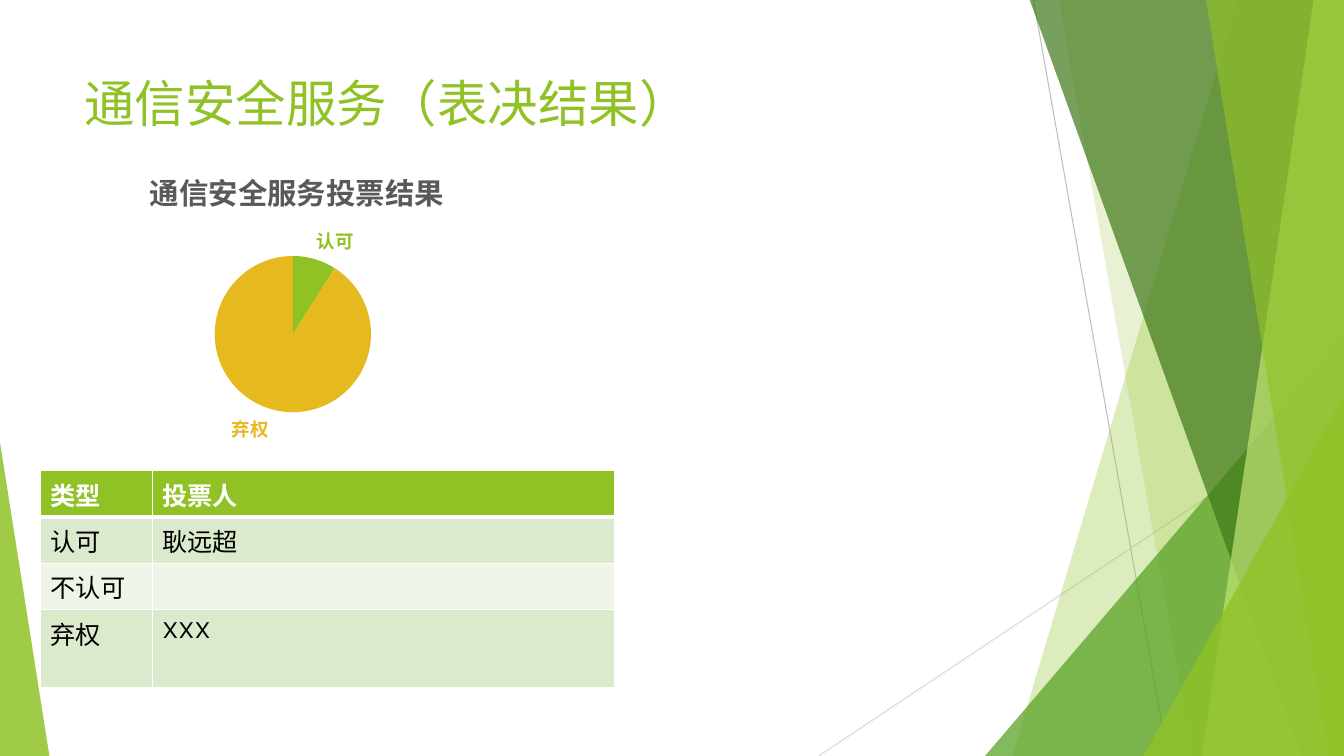
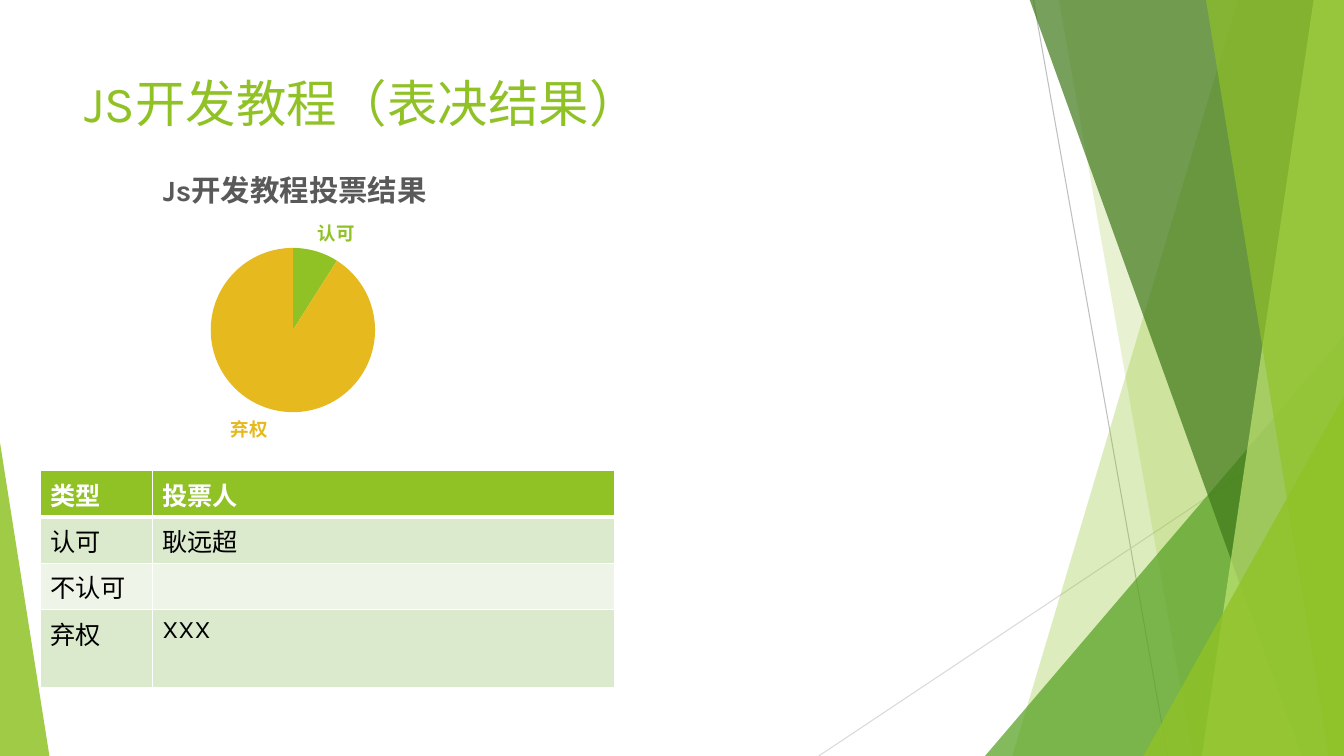
"""Build two slides of voting results, each with a pie chart and a voter table."""
import dataclasses
import typing

import lxml.etree
import pptx
import pptx.chart.data
import pptx.dml.color
import pptx.enum.chart
import pptx.enum.shapes
import pptx.oxml.ns
import pptx.util

Inches = pptx.util.Inches
Pt = pptx.util.Pt
Color = pptx.dml.color.RGBColor
qn = pptx.oxml.ns.qn

FONT = "Karla"
WIDE, HIGH, TOP = 13.33, 7.5, -0.01

WHITE = Color(0xFF, 0xFF, 0xFF)
BLACK = Color(0, 0, 0)
LIME = Color(0x90, 0xC2, 0x26)
GREEN = Color(0x54, 0xA0, 0x21)
DARK = Color(0x3F, 0x78, 0x19)
PALE = Color(0xC0, 0xE4, 0x74)
GOLD = Color(0xE6, 0xB9, 0x1E)
GRAY = Color(0x59, 0x59, 0x59)
BAND = Color(0xDB, 0xE9, 0xCD)
LIGHT = Color(0xEE, 0xF4, 0xE8)
SILVER = Color(0xBF, 0xBF, 0xBF)
MIST = Color(0xD9, 0xD9, 0xD9)


@dataclasses.dataclass(frozen=True)
class Ray:
    start: tuple[float, float]
    end: tuple[float, float]
    color: Color


@dataclasses.dataclass(frozen=True)
class Wedge:
    head: float
    foot: float
    color: Color
    alpha: int


@dataclasses.dataclass(frozen=True)
class Corner:
    left: float
    top: float
    width: float
    peak: float
    color: Color
    alpha: int


@dataclasses.dataclass(frozen=True)
class Vote:
    title: str
    chart: str
    label: tuple[float, float]
    pie: float


RAYS = [
    Ray((10.25, 0), (11.58, HIGH), SILVER),
    Ray((WIDE, 4.03), (8.12, HIGH), MIST),
]
PANES = [
    Wedge(12.28, 10.04, LIME, 30),
    Wedge(10.5, 11.83, LIME, 20),
    Corner(9.77, 3.33, 3.56, 1, GREEN, 72),
    Wedge(10.21, 12.91, DARK, 70),
    Wedge(13.03, 11.92, PALE, 70),
    Wedge(11.96, 13.18, LIME, 65),
    Corner(11.34, 3.93, 1.99, 1, LIME, 80),
    Corner(0, 4.39, 0.49, 0, LIME, 85),
]
VOTES = [
    Vote("通信安全服务（表决结果）", "通信安全服务投票结果", (0.16, 0.07), 1.55),
    Vote("JS开发教程（表决结果）", "Js开发教程投票结果", (0.19, 0.06), 1.63),
]
SHARES = {"认可": (9, LIME), "不认可": (0, GREEN), "弃权": (91, GOLD)}
ROWS = [("类型", "投票人"), ("认可", "耿远超"), ("不认可", ""), ("弃权", "XXX")]
FILLS = [LIME, BAND, LIGHT, BAND]
WIDTHS = [1.11, 4.59]
HEIGHTS = [0.46, 0.46, 0.46, 0.77]
CHART_WIDE, CHART_HIGH, PIE_BASE = 4.33, 3.15, 2.7


def style(font: typing.Any, size: float, color: Color, bold: bool = False) -> None:
    """Set the face, size, colour and weight of a font."""
    font.name, font.size, font.bold = FONT, Pt(size), bold
    font.color.rgb = color


def draw_ray(slide: typing.Any, ray: Ray) -> None:
    """Draw one thin line without a shadow."""
    ends = [Inches(value) for value in (*ray.start, *ray.end)]
    line = slide.shapes.add_connector(pptx.enum.shapes.MSO_CONNECTOR.STRAIGHT, *ends)
    line.line.color.rgb = ray.color
    line.line.width = Pt(0.75)
    lxml.etree.SubElement(line.element.spPr, qn("a:effectLst"))


def draw_pane(slide: typing.Any, pane: Wedge | Corner) -> None:
    """Draw one translucent pane of the backdrop."""
    if isinstance(pane, Wedge):
        form = slide.shapes.build_freeform(Inches(pane.head), Inches(TOP))
        points = [(WIDE, TOP), (WIDE, HIGH), (pane.foot, HIGH)]
        form.add_line_segments([(Inches(x), Inches(y)) for x, y in points])
        shape = form.convert_to_shape()
    else:
        shape = slide.shapes.add_shape(
            pptx.enum.shapes.MSO_SHAPE.ISOSCELES_TRIANGLE,
            Inches(pane.left), Inches(pane.top),
            Inches(pane.width), Inches(HIGH - pane.top))
        shape.adjustments[0] = pane.peak
    shape.shadow.inherit = False
    shape.line.fill.background()
    shape.fill.solid()
    shape.fill.fore_color.rgb = pane.color
    tint = shape.element.spPr.find(".//" + qn("a:srgbClr"))
    lxml.etree.SubElement(tint, qn("a:alpha"), val=str(pane.alpha * 1000))


def draw_title(slide: typing.Any, text: str) -> None:
    """Write the slide title."""
    box = slide.shapes.add_textbox(Inches(0.74), Inches(0.67), Inches(9.4), Inches(1.44))
    frame = box.text_frame
    frame.word_wrap = True
    frame.text = text
    style(frame.paragraphs[0].runs[0].font, 36, LIME)


def lay_out(host: typing.Any, index: int, **places: float | str) -> None:
    """Give a chart part a manual layout."""
    for old in host.findall(qn("c:layout")):
        host.remove(old)
    layout = lxml.etree.Element(qn("c:layout"))
    manual = lxml.etree.SubElement(layout, qn("c:manualLayout"))
    for name, value in places.items():
        lxml.etree.SubElement(manual, qn("c:" + name), val=str(value))
    host.insert(index, layout)


def draw_chart(slide: typing.Any, vote: Vote) -> None:
    """Draw the pie of votes with category labels."""
    data = pptx.chart.data.CategoryChartData()
    data.categories = list(SHARES)
    data.add_series("Series 1", [value for value, _ in SHARES.values()])
    chart = slide.shapes.add_chart(
        pptx.enum.chart.XL_CHART_TYPE.PIE, Inches(0.74), Inches(1.39),
        Inches(CHART_WIDE), Inches(CHART_HIGH), data).chart
    style(chart.font, 10, BLACK)
    chart.has_legend = False
    chart.has_title = True
    frame = chart.chart_title.text_frame
    frame.text = vote.chart
    style(frame.paragraphs[0].runs[0].font, 21, GRAY, True)
    left, top = vote.label
    lay_out(chart.chart_title.element, 1, xMode="edge", yMode="edge", x=left, y=top)
    wide, high = vote.pie / CHART_WIDE, vote.pie / CHART_HIGH
    lay_out(chart.element.find(".//" + qn("c:plotArea")), 0,
            layoutTarget="inner", xMode="edge", yMode="edge",
            x=(1 - wide) / 2, y=PIE_BASE / CHART_HIGH - high, w=wide, h=high)
    plot = chart.plots[0]
    plot.vary_by_categories = True
    for index, (_, color) in enumerate(SHARES.values()):
        point = plot.series[0].points[index]
        point.format.fill.solid()
        point.format.fill.fore_color.rgb = color
        style(point.data_label.font, 13.2, color, True)
        point.data_label.position = pptx.enum.chart.XL_LABEL_POSITION.OUTSIDE_END
    for label in chart.element.iter(qn("c:dLbl")):
        label.find(qn("c:showVal")).set("val", "0")
        label.find(qn("c:showCatName")).set("val", "1")


def edge(cell: typing.Any, **widths: float) -> None:
    """Give a cell white borders of the stated widths."""
    props = cell._tc.get_or_add_tcPr()
    for side, width in widths.items():
        line = lxml.etree.SubElement(props, qn("a:ln" + side), w=str(Pt(width)))
        fill = lxml.etree.SubElement(line, qn("a:solidFill"))
        lxml.etree.SubElement(fill, qn("a:srgbClr"), val=str(WHITE))


def draw_table(slide: typing.Any) -> None:
    """Draw the table of voters."""
    table = slide.shapes.add_table(
        len(ROWS), len(WIDTHS), Inches(0.4), Inches(4.67),
        Inches(sum(WIDTHS)), Inches(sum(HEIGHTS))).table
    table.horz_banding = False
    for column, width in zip(table.columns, WIDTHS):
        column.width = Inches(width)
    for index, texts in enumerate(ROWS):
        table.rows[index].height = Inches(HEIGHTS[index])
        header = index == 0
        for cell, text in zip(table.rows[index].cells, texts):
            edge(cell, L=1, R=1, T=3 if index == 1 else 1, B=3 if header else 1)
            cell.fill.solid()
            cell.fill.fore_color.rgb = FILLS[index]
            if text:
                cell.text_frame.text = text
                font = cell.text_frame.paragraphs[0].runs[0].font
                style(font, 18, WHITE if header else BLACK, header)


def main() -> None:
    """Build and save the deck."""
    deck = pptx.Presentation()
    deck.slide_width, deck.slide_height = Inches(WIDE), Inches(HIGH)
    for vote in VOTES:
        slide = deck.slides.add_slide(deck.slide_layouts[6])
        for ray in RAYS:
            draw_ray(slide, ray)
        for pane in PANES:
            draw_pane(slide, pane)
        draw_title(slide, vote.title)
        draw_chart(slide, vote)
        draw_table(slide)
    deck.save("out.pptx")


if __name__ == "__main__":
    main()
